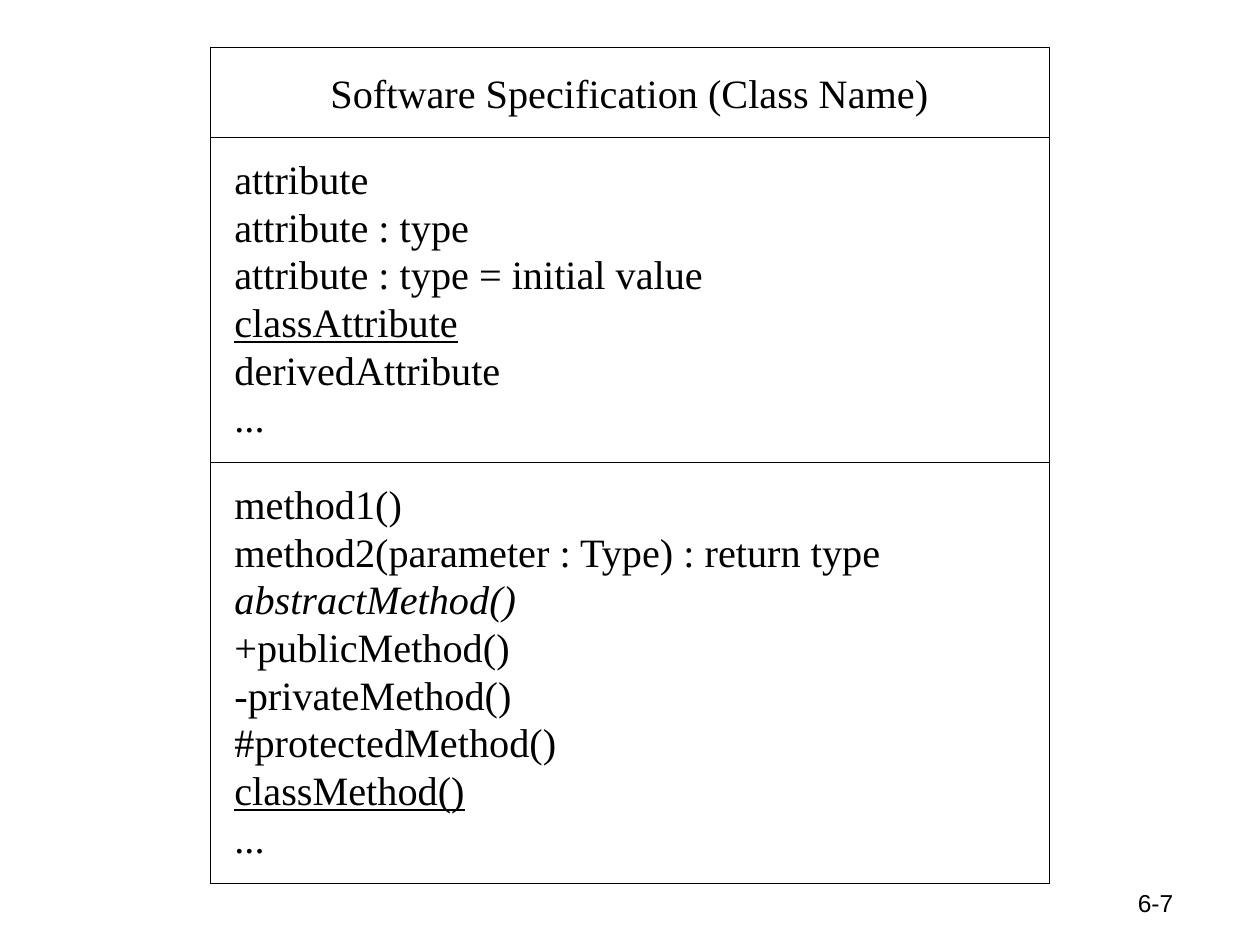
from dataclasses import dataclass

from pptx import Presentation
from pptx.dml.color import RGBColor
from pptx.enum.text import MSO_ANCHOR, MSO_AUTO_SIZE, PP_ALIGN
from pptx.oxml.ns import qn
from pptx.util import Inches, Pt
from lxml.etree import SubElement


@dataclass(frozen=True)
class Theme:
    ink: RGBColor = RGBColor(0, 0, 0)
    paper: RGBColor = RGBColor(255, 255, 255)
    class_font: str = "Times New Roman"
    class_size: float = 23
    line_pitch: float = 27.2
    number_font: str = "Arial"
    number_size: float = 14
    border: float = 0.62


THEME = Theme()
ATTRIBUTES = [
    ("attribute", {}),
    ("attribute : type", {}),
    ("attribute : type = initial value", {}),
    ("classAttribute", {"underline": True}),
    ("derivedAttribute", {}),
    ("...", {}),
]
METHODS = [
    ("method1()", {}),
    ("method2(parameter : Type) : return type", {}),
    ("abstractMethod()", {"italic": True}),
    ("+publicMethod()", {}),
    ("-privateMethod()", {}),
    ("#protectedMethod()", {}),
    ("classMethod()", {"underline": True}),
    ("...", {}),
]


def add_span(para, text, font=THEME.class_font, size=THEME.class_size,
             italic=False, underline=False):
    span = para.add_run()
    span.text = text
    span.font.name = font
    span.font.size = Pt(size)
    span.font.italic = italic
    span.font.underline = underline
    span.font.color.rgb = THEME.ink


def format_compartment(box, left, top, width, height):
    """Place a placeholder and draw it as one bordered part of the class box."""
    box.left, box.top = Inches(left), Inches(top)
    box.width, box.height = Inches(width), Inches(height)
    box.fill.solid()
    box.fill.fore_color.rgb = THEME.paper
    box.line.color.rgb = THEME.ink
    box.line.width = Pt(THEME.border)
    frame = box.text_frame
    frame.auto_size = MSO_AUTO_SIZE.NONE
    frame.word_wrap = True
    return frame


def fill_class_name(box, text, left, top, width, height):
    frame = format_compartment(box, left, top, width, height)
    frame.vertical_anchor = MSO_ANCHOR.MIDDLE
    para = frame.paragraphs[0]
    para.alignment = PP_ALIGN.CENTER
    add_span(para, text)


def fill_members(box, members, left, top, width, height):
    frame = format_compartment(box, left, top, width, height)
    frame.vertical_anchor = MSO_ANCHOR.TOP
    frame.margin_left, frame.margin_top = Inches(0.19), Inches(0.14)
    frame.margin_right = frame.margin_bottom = 0
    for index, (text, style) in enumerate(members):
        para = frame.add_paragraph() if index else frame.paragraphs[0]
        properties = para._p.get_or_add_pPr()
        properties.set("marL", "0")
        properties.set("indent", "0")
        SubElement(properties, qn("a:buNone"))
        para.line_spacing = Pt(THEME.line_pitch)
        para.space_before = Pt(0)
        add_span(para, text, **style)


def build_class_box(page, left, top, width):
    """Stack the name, attribute and method compartments."""
    name, attributes, methods = page.placeholders
    name_height, attribute_height, method_height = 0.71, 2.58, 3.34
    fill_class_name(name, "Software Specification (Class Name)",
                    left, top, width, name_height)
    top += name_height
    fill_members(attributes, ATTRIBUTES, left, top, width, attribute_height)
    top += attribute_height
    fill_members(methods, METHODS, left, top, width, method_height)


def add_page_number(page, text, left, top, width, height):
    box = page.shapes.add_textbox(Inches(left), Inches(top),
                                  Inches(width), Inches(height))
    frame = box.text_frame
    frame.word_wrap = True
    frame.vertical_anchor = MSO_ANCHOR.BOTTOM
    para = frame.paragraphs[0]
    para.alignment = PP_ALIGN.RIGHT
    add_span(para, text, font=THEME.number_font, size=THEME.number_size)


def main():
    deck = Presentation()
    deck.slide_width, deck.slide_height = Inches(10), Inches(7.5)
    page = deck.slides.add_slide(deck.slide_layouts.get_by_name("Two Content"))
    build_class_box(page, left=1.67, top=0.38, width=6.66)
    add_page_number(page, "6-7", left=7.33, top=6.83, width=2.08, height=0.5)
    deck.save("out.pptx")


if __name__ == "__main__":
    main()
